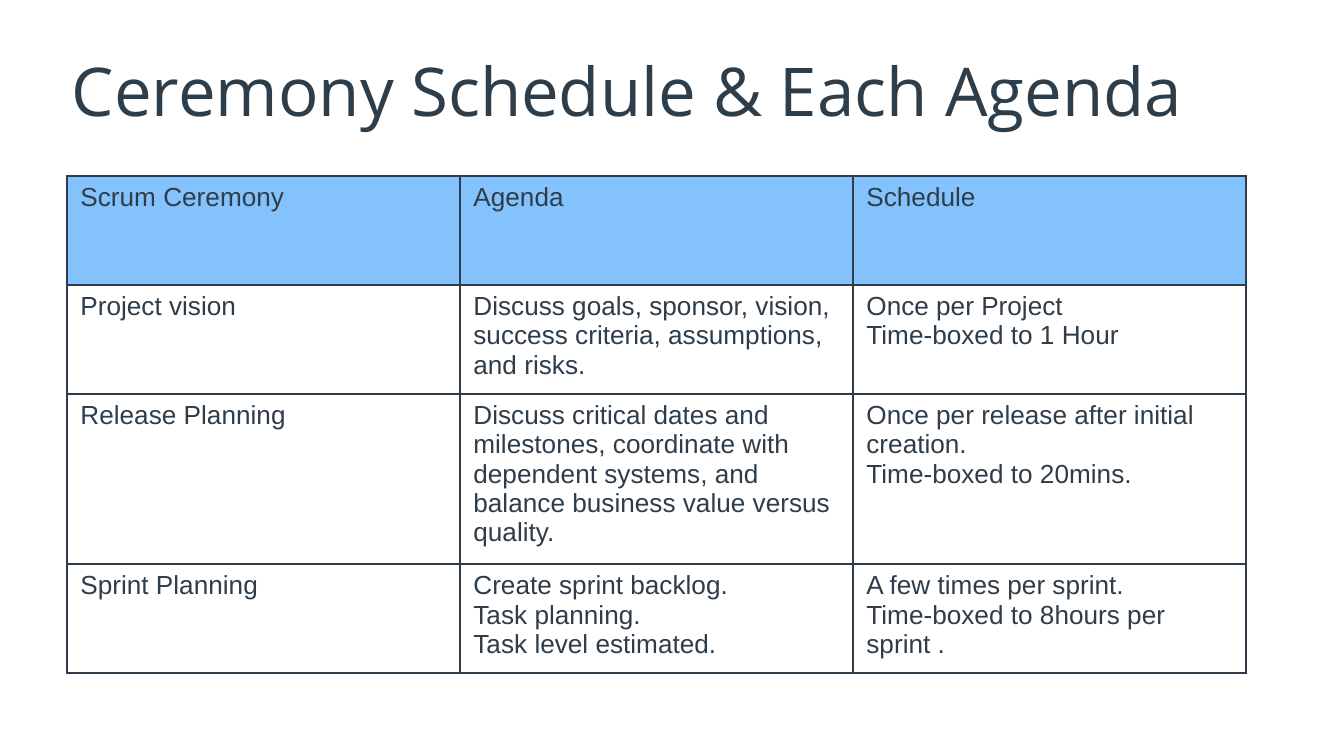
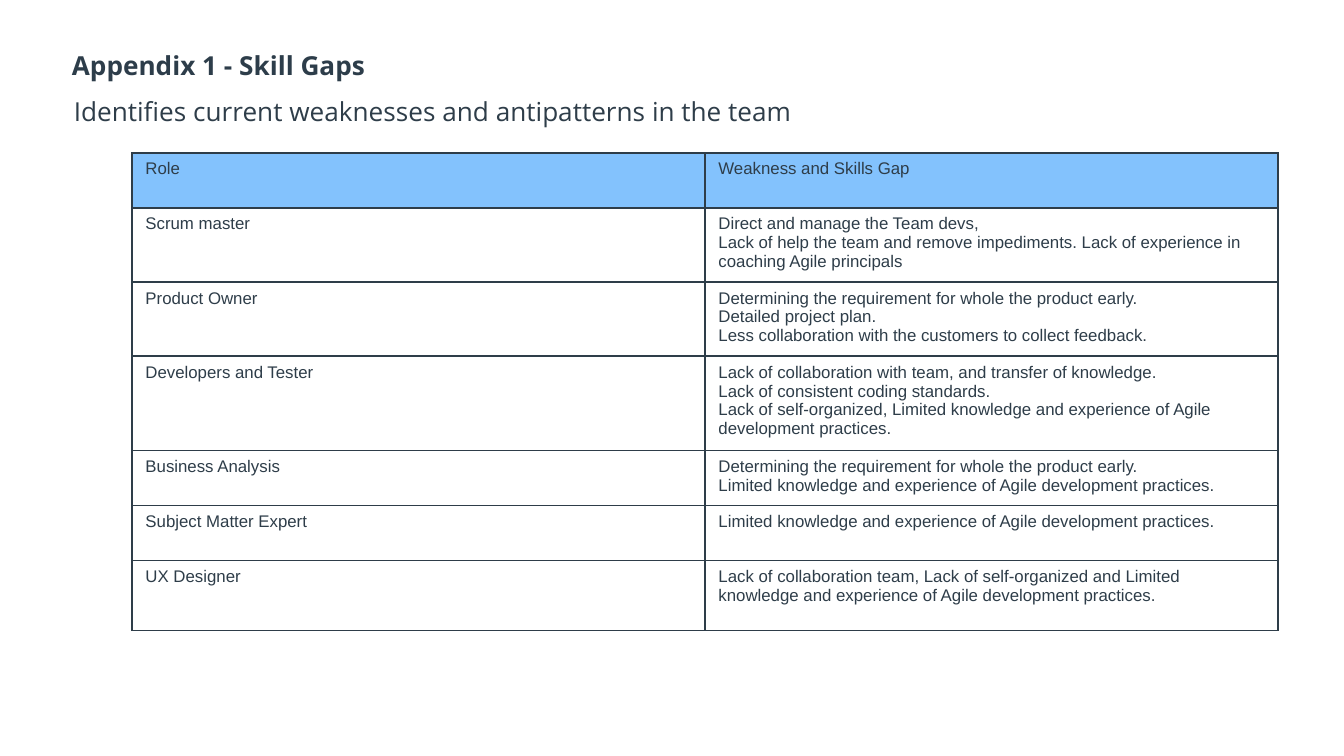
from lxml import etree
from pptx import Presentation
from pptx import util as u
from pptx.dml.color import RGBColor
from pptx.enum import text
from pptx.oxml.ns import qn

SCALE = 914400 / 134.4  # EMU per px
TITLE_INK = "2D3D4A"
TABLE_INK = "2E3D49"
HEADER_FILL = "83C2FD"
HEADING_FONT = "Open Sans"
TABLE_FONT = "Arial"

CEREMONIES = [
    ["Scrum Ceremony", "Agenda", "Schedule"],
    ["Project vision",
     "Discuss goals, sponsor, vision, success criteria, assumptions, and risks.",
     "Once per Project\nTime-boxed to 1 Hour"],
    ["Release Planning",
     "Discuss critical dates and milestones, coordinate with dependent systems, "
     "and balance business value versus quality.",
     "Once per release after initial creation.\nTime-boxed to 20mins."],
    ["Sprint Planning",
     "Create sprint backlog.\nTask planning.\nTask level estimated.",
     "A few times per sprint.\nTime-boxed to 8hours per sprint ."],
]

EARLY = "Determining the requirement for whole the product early."
LIMITED = "imited knowledge and experience of Agile development practices."
SKILL_GAPS = [
    ["Role", "Weakness and Skills Gap"],
    ["Scrum master",
     "Direct and manage the Team devs,\n"
     "Lack of help the team and remove impediments. "
     "Lack of experience in coaching Agile principals"],
    ["Product Owner",
     f"{EARLY}\nDetailed project plan.\n"
     "Less collaboration with the customers to collect feedback."],
    ["Developers and Tester",
     "Lack of collaboration with team, and transfer of knowledge.\n"
     "Lack of consistent coding standards.\n"
     f"Lack of self-organized, L{LIMITED}"],
    ["Business Analysis", f"{EARLY}\nL{LIMITED}"],
    ["Subject Matter Expert", f"L{LIMITED}"],
    ["UX Designer",
     f"Lack of collaboration team, Lack of self-organized and L{LIMITED}"],
]


def px(length):
    return u.Emu(round(length * SCALE))


def color(hex_code):
    return RGBColor.from_string(hex_code)


def add_run(paragraph, words, size, font, ink, bold=False):
    run = paragraph.add_run()
    run.text = words
    run.font.size = u.Pt(size)
    run.font.name = font
    run.font.bold = bold
    run.font.color.rgb = color(ink)


def add_heading(slide, words, box, size, ink=TITLE_INK, bold=False, indent=None):
    frame = slide.shapes.add_textbox(*map(px, box)).text_frame
    frame.word_wrap = True
    frame.vertical_anchor = text.MSO_ANCHOR.TOP
    frame.margin_left = frame.margin_right = px(5)
    frame.margin_top = frame.margin_bottom = px(5)
    paragraph = frame.paragraphs[0]
    if indent:
        left, first = indent
        properties = paragraph._p.get_or_add_pPr()
        properties.set("marL", str(px(left)))
        properties.set("indent", str(px(first)))
    add_run(paragraph, words, size, HEADING_FONT, ink, bold)


def add_borders(cell):
    properties = cell._tc.get_or_add_tcPr()
    for side in ("a:lnL", "a:lnR", "a:lnT", "a:lnB"):
        line = etree.SubElement(properties, qn(side), w=str(u.Pt(1)))
        fill = etree.SubElement(line, qn("a:solidFill"))
        etree.SubElement(fill, qn("a:srgbClr"), val=TABLE_INK)


def add_grid(slide, rows, left, top, column_width, row_heights, size):
    columns = len(rows[0])
    table = slide.shapes.add_table(
        len(rows), columns, px(left), px(top),
        px(column_width * columns), px(sum(row_heights))).table
    table.first_row = table.horz_banding = False
    for column in table.columns:
        column.width = px(column_width)
    for r, (entries, height) in enumerate(zip(rows, row_heights)):
        table.rows[r].height = px(height)
        for c, entry in enumerate(entries):
            cell = table.cell(r, c)
            add_borders(cell)
            if r == 0:
                cell.fill.solid()
                cell.fill.fore_color.rgb = color(HEADER_FILL)
            else:
                cell.fill.background()
            frame = cell.text_frame
            for i, words in enumerate(entry.split("\n")):
                paragraph = frame.add_paragraph() if i else frame.paragraphs[0]
                add_run(paragraph, words, size, TABLE_FONT, TABLE_INK)


def main():
    deck = Presentation()
    deck.slide_width, deck.slide_height = px(1344), px(756)
    blank = deck.slide_layouts[6]

    # Ceremony schedule
    schedule = deck.slides.add_slide(blank)
    add_heading(schedule, "Ceremony Schedule & Each Agenda", (67, 44, 1210, 87), 36)
    add_grid(schedule, CEREMONIES, 67, 176, 393, [109] * 4, 14)

    # Skill gaps
    appendix = deck.slides.add_slide(blank)
    add_heading(appendix, "Identifies current weaknesses and antipatterns in the team",
                (36, 90, 1210, 46), 14, TABLE_INK, indent=(67, -34))
    add_heading(appendix, "Appendix 1 - Skill Gaps", (67, 44, 1210, 46), 14, bold=True)
    add_grid(appendix, SKILL_GAPS, 132, 153, 573, [55] * 6 + [70], 9)

    deck.save("out.pptx")


if __name__ == "__main__":
    main()
